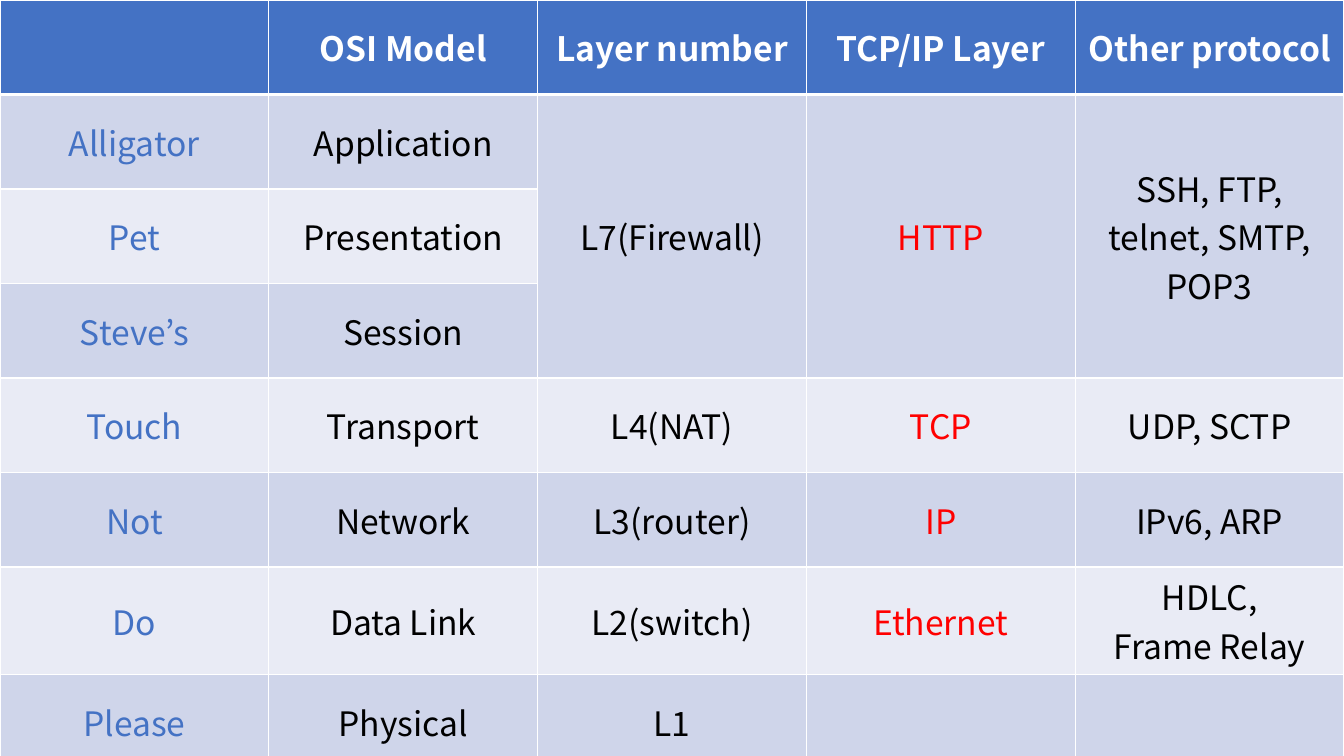
import dataclasses

import pptx
import pptx.dml.color
import pptx.enum.text
import pptx.oxml.ns
import pptx.table
import pptx.util
from lxml import etree

Cm = pptx.util.Cm
Pt = pptx.util.Pt
RGBColor = pptx.dml.color.RGBColor

WIDE, HIGH = Cm(33.87), Cm(19.05)
FONT = "Noto Sans CJK KR"
WHITE = RGBColor(0xFF, 0xFF, 0xFF)
BLACK = RGBColor(0x00, 0x00, 0x00)
BLUE = RGBColor(0x44, 0x72, 0xC4)
RED = RGBColor(0xFF, 0x00, 0x00)
DARK = RGBColor(0xCF, 0xD5, 0xEA)
LIGHT = RGBColor(0xE9, 0xEB, 0xF5)


@dataclasses.dataclass(frozen=True)
class Layer:
    hint: str
    name: str
    level: str = ""
    main: str = ""
    other: str = ""


@dataclasses.dataclass(frozen=True)
class Style:
    fill: RGBColor
    ink: RGBColor
    bold: bool = False
    top: int = 1
    base: int = 1


HEAD = Layer("", "OSI Model", "Layer number", "TCP/IP Layer", "Other protocol")
LAYERS = [
    Layer("Alligator", "Application", "L7(Firewall)", "HTTP",
          "SSH, FTP, telnet, SMTP, POP3"),
    Layer("Pet", "Presentation"),
    Layer("Steve’s", "Session"),
    Layer("Touch", "Transport", "L4(NAT)", "TCP", "UDP, SCTP"),
    Layer("Not", "Network", "L3(router)", "IP", "IPv6, ARP"),
    Layer("Do", "Data Link", "L2(switch)", "Ethernet", "HDLC,\nFrame Relay"),
    Layer("Please", "Physical", "L1"),
]
INKS = [BLUE, BLACK, BLACK, RED, BLACK]


def add_edge(cell: pptx.table._Cell, side: str, width: int) -> None:
    qn = pptx.oxml.ns.qn
    props = cell._tc.get_or_add_tcPr()
    line = etree.SubElement(props, qn(f"a:ln{side}"), w=str(Pt(width)))
    fill = etree.SubElement(line, qn("a:solidFill"))
    etree.SubElement(fill, qn("a:srgbClr"), val=str(WHITE))


def draw_cell(cell: pptx.table._Cell, text: str, style: Style) -> None:
    # Borders go ahead of the fill in the cell properties
    for side, width in zip("LRTB", (1, 1, style.top, style.base)):
        add_edge(cell, side, width)
    cell.fill.solid()
    cell.fill.fore_color.rgb = style.fill
    cell.vertical_anchor = pptx.enum.text.MSO_ANCHOR.MIDDLE
    cell.text_frame.text = text
    for para in cell.text_frame.paragraphs:
        para.alignment = pptx.enum.text.PP_ALIGN.CENTER
        for run in para.runs:
            run.font.name = FONT
            run.font.size = Pt(24)
            run.font.bold = style.bold
            run.font.color.rgb = style.ink


def get_style(row: int, col: int) -> Style:
    if row == 0:
        return Style(BLUE, WHITE, bold=True, base=3)
    return Style(DARK if row % 2 else LIGHT, INKS[col],
                 top=3 if row == 1 else 1)


# Slide
deck = pptx.Presentation()
deck.slide_width, deck.slide_height = WIDE, HIGH
slide = deck.slides.add_slide(deck.slide_layouts[6])

# Table of layers
rows = [HEAD, *LAYERS]
table = slide.shapes.add_table(len(rows), len(INKS), 0, 0, WIDE, HIGH).table
for y, layer in enumerate(rows):
    for x, text in enumerate(dataclasses.astuple(layer)):
        draw_cell(table.cell(y, x), text, get_style(y, x))

# The top three layers share their last columns
for x in range(2, len(INKS)):
    table.cell(1, x).merge(table.cell(3, x))

deck.save("out.pptx")
